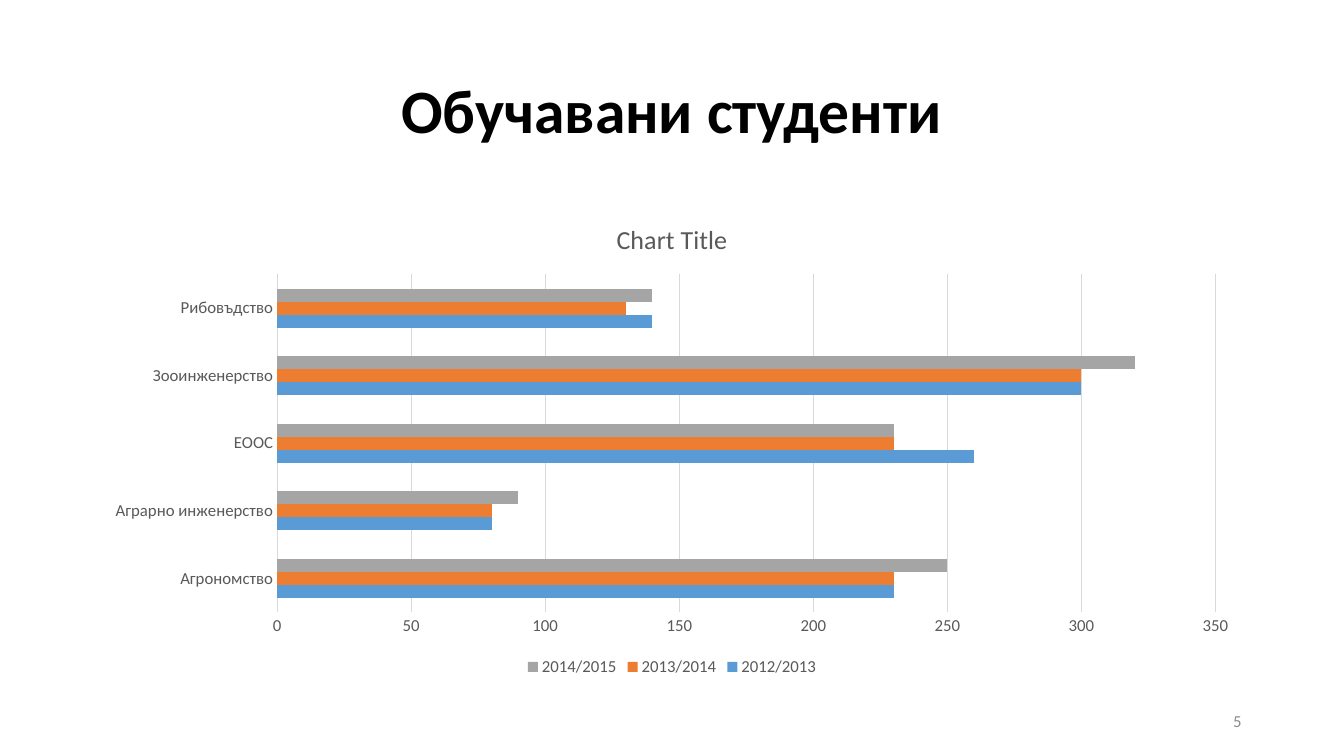
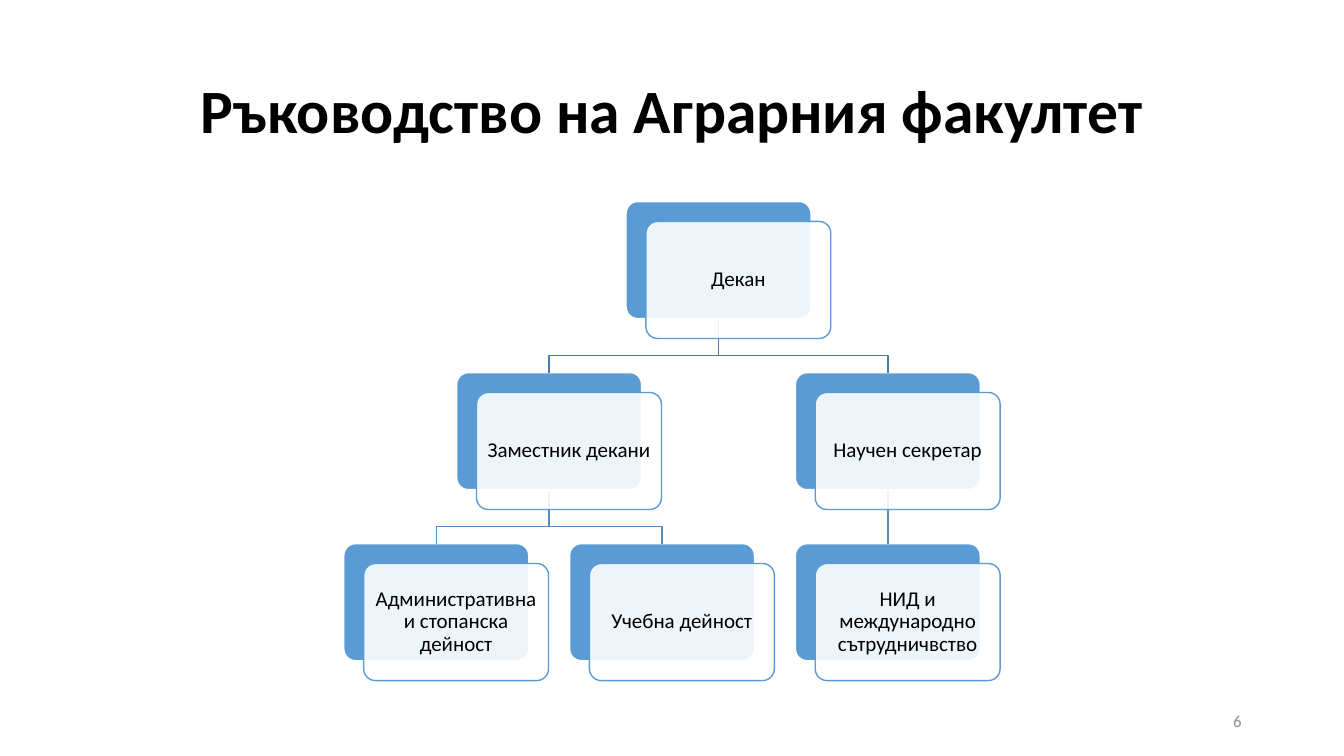
import collections

import lxml.etree
import pptx
import pptx.chart.data
import pptx.dml.color
import pptx.enum.chart
import pptx.enum.shapes
import pptx.enum.text
import pptx.oxml.ns
import pptx.util

Cm = pptx.util.Cm
Pt = pptx.util.Pt
Align = pptx.enum.text.PP_ALIGN
Box = collections.namedtuple("Box", "left top width height")  # centimetres
Node = collections.namedtuple("Node", "text children", defaults=[()])

FONT = "Calibri"
COLORS = {
    "white": "FFFFFF",
    "title": "000000",
    "number": "8C8C8C",
    "label": "595959",
    "grid": "D9D9D9",
    "blue": "5B9BD5",
    "orange": "ED7D31",
    "gray": "A5A5A5",
    "upper link": "497CAB",
    "lower link": "538DC1",
}

TITLE = Box(2.33, 1.01, 29.21, 3.68)
BODY = Box(2.33, 5.08, 29.21, 12.08)
NUMBER = Box(23.92, 17.65, 7.62, 1.01)

CARD_WIDTH, CARD_HEIGHT = 4.66, 2.95
CARD_SHIFT = 0.5
COLUMN_STEP, ROW_STEP = 5.69, 4.31
BEND_DROP = 0.93

CATEGORIES = ["Агрономство", "Аграрно инженерство", "ЕООС", "Зооинженерство", "Рибовъдство"]
SERIES = [
    ("2012/2013", "blue", [230, 80, 260, 300, 140]),
    ("2013/2014", "orange", [230, 80, 230, 300, 130]),
    ("2014/2015", "gray", [250, 90, 230, 320, 140]),
]
FACULTY = Node("Декан", (
    Node("Заместник декани", (
        Node("Административна и стопанска дейност"),
        Node("Учебна дейност"),
    )),
    Node("Научен секретар", (
        Node("НИД и международно сътрудничвство"),
    )),
))


def rgb(name):
    return pptx.dml.color.RGBColor.from_string(COLORS[name])


def in_cm(lengths):
    return [Cm(length) for length in lengths]


def style_font(font, size, color, bold=False):
    font.name = FONT
    font.size = Pt(size)
    font.bold = bold
    font.color.rgb = rgb(color)


def style_line(line, color, width):
    line.color.rgb = rgb(color)
    line.width = Pt(width)


def write(shape, text, size, color, bold=False, align=Align.CENTER, spacing=1.0, inset=None):
    frame = shape.text_frame
    frame.word_wrap = True
    frame.vertical_anchor = pptx.enum.text.MSO_ANCHOR.MIDDLE
    if inset is not None:
        frame.margin_left = frame.margin_right = Cm(inset)
        frame.margin_top = frame.margin_bottom = Cm(inset)
    para = frame.paragraphs[0]
    para.alignment = align
    para.line_spacing = spacing
    span = para.add_run()
    span.text = text
    style_font(span.font, size, color, bold)


def add_page(deck, title, number):
    page = deck.slides.add_slide(deck.slide_layouts[6])
    write(page.shapes.add_textbox(*in_cm(TITLE)), title,
          size=44, color="title", bold=True, spacing=0.9)
    write(page.shapes.add_textbox(*in_cm(NUMBER)), str(number),
          size=12, color="number", align=Align.RIGHT)
    return page


def style_axis(axis):
    axis.major_tick_mark = axis.minor_tick_mark = pptx.enum.chart.XL_TICK_MARK.NONE
    style_font(axis.tick_labels.font, 12, "label")


def add_student_chart(page, box):
    data = pptx.chart.data.CategoryChartData()
    data.categories = CATEGORIES
    for name, _, values in SERIES:
        data.add_series(name, values)
    chart = page.shapes.add_chart(
        pptx.enum.chart.XL_CHART_TYPE.BAR_CLUSTERED, *in_cm(box), data).chart
    style_font(chart.font, 10, "title")

    chart.has_title = True
    heading = chart.chart_title.text_frame
    heading.text = "Chart Title"
    style_font(heading.paragraphs[0].runs[0].font, 18.6, "label")

    chart.has_legend = True
    chart.legend.position = pptx.enum.chart.XL_LEGEND_POSITION.BOTTOM
    chart.legend.include_in_layout = False
    style_font(chart.legend.font, 12, "label")

    style_axis(chart.category_axis)
    style_line(chart.category_axis.format.line, "grid", 0.75)
    scale = chart.value_axis
    style_axis(scale)
    scale.minimum_scale, scale.maximum_scale, scale.major_unit = 0, 350, 50
    scale.format.line.fill.background()
    scale.has_major_gridlines = True
    style_line(scale.major_gridlines.format.line, "grid", 0.75)

    plot = chart.plots[0]
    plot.gap_width = 219
    plot.vary_by_categories = False
    for series, (_, color, _) in zip(plot.series, SERIES):
        series.format.fill.solid()
        series.format.fill.fore_color.rgb = rgb(color)


def add_link(page, start, end, color):
    """Join two points: straight when one is above the other, otherwise bent."""
    if abs(start[0] - end[0]) < 0.01:
        link = page.shapes.add_connector(
            pptx.enum.shapes.MSO_CONNECTOR.STRAIGHT, *in_cm(start + end))
        lxml.etree.SubElement(link._element.spPr, pptx.oxml.ns.qn("a:effectLst"))
    else:
        bend = start[1] + BEND_DROP
        outline = page.shapes.build_freeform(*in_cm(start))
        outline.add_line_segments(
            [in_cm(point) for point in ((start[0], bend), (end[0], bend), end)], close=False)
        link = outline.convert_to_shape()
        link.shadow.inherit = False
        link.fill.background()
    style_line(link.line, color, 1)


def add_panel(page, box, fill, line):
    panel = page.shapes.add_shape(
        pptx.enum.shapes.MSO_SHAPE.ROUNDED_RECTANGLE, *in_cm(box))
    panel.adjustments[0] = 0.1
    panel.shadow.inherit = False
    panel.fill.solid()
    panel.fill.fore_color.rgb = rgb(fill)
    style_line(panel.line, line, 1)
    return panel


def add_card(page, left, top, text):
    """Blue panel with a translucent white one shifted over it."""
    add_panel(page, Box(left, top, CARD_WIDTH, CARD_HEIGHT), "blue", "white")
    front = add_panel(page, Box(left + CARD_SHIFT, top + CARD_SHIFT, CARD_WIDTH, CARD_HEIGHT),
                      "white", "blue")
    tint = front._element.spPr.find(
        pptx.oxml.ns.qn("a:solidFill") + "/" + pptx.oxml.ns.qn("a:srgbClr"))
    lxml.etree.SubElement(tint, pptx.oxml.ns.qn("a:alpha"), val="90000")
    write(front, text, size=15, color="title", spacing=0.9, inset=0.14)


def count_leaves(node):
    return sum(map(count_leaves, node.children)) or 1


def add_branch(page, node, left, top, level=0):
    """Draw the node centred over its children; return its middle."""
    middles = []
    child_left = left
    for child in node.children:
        middles.append(add_branch(page, child, child_left, top + ROW_STEP, level + 1))
        child_left += COLUMN_STEP * count_leaves(child)
    middle = left + CARD_WIDTH / 2
    if middles:
        middle = (middles[0] + middles[-1]) / 2
    color = "lower link" if level else "upper link"
    for child_middle in middles:
        add_link(page, (middle, top + CARD_HEIGHT), (child_middle, top + ROW_STEP), color)
    add_card(page, middle - CARD_WIDTH / 2, top, node.text)
    return middle


def add_organization_tree(page, box, root):
    width = COLUMN_STEP * (count_leaves(root) - 1) + CARD_WIDTH + CARD_SHIFT
    add_branch(page, root, box.left + (box.width - width) / 2, box.top)


def main():
    deck = pptx.Presentation()
    deck.slide_width, deck.slide_height = Cm(33.87), Cm(19.05)
    add_student_chart(add_page(deck, "Обучавани студенти", 5), BODY)
    add_organization_tree(add_page(deck, "Ръководство на Аграрния факултет", 6), BODY, FACULTY)
    deck.save("out.pptx")


if __name__ == "__main__":
    main()
